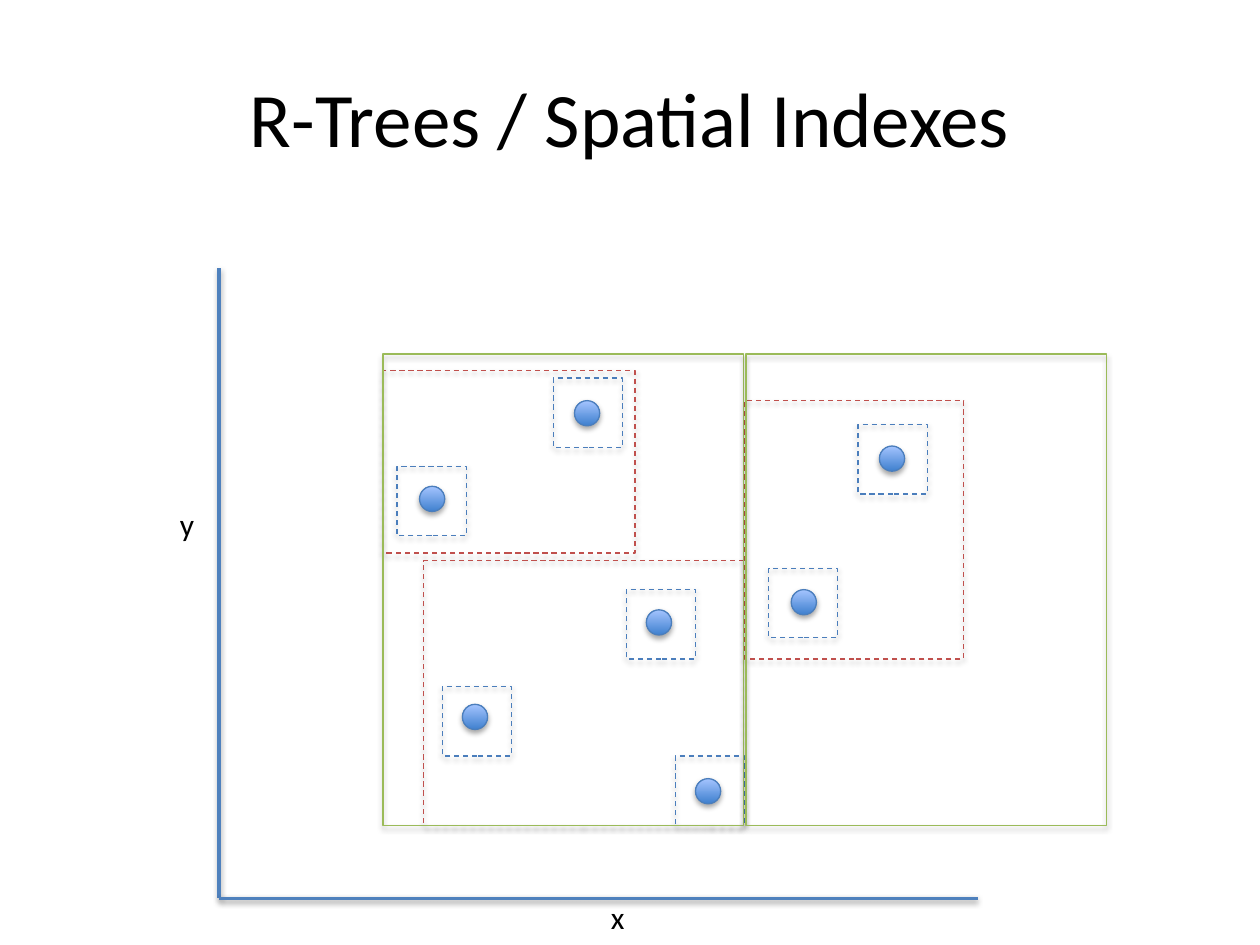
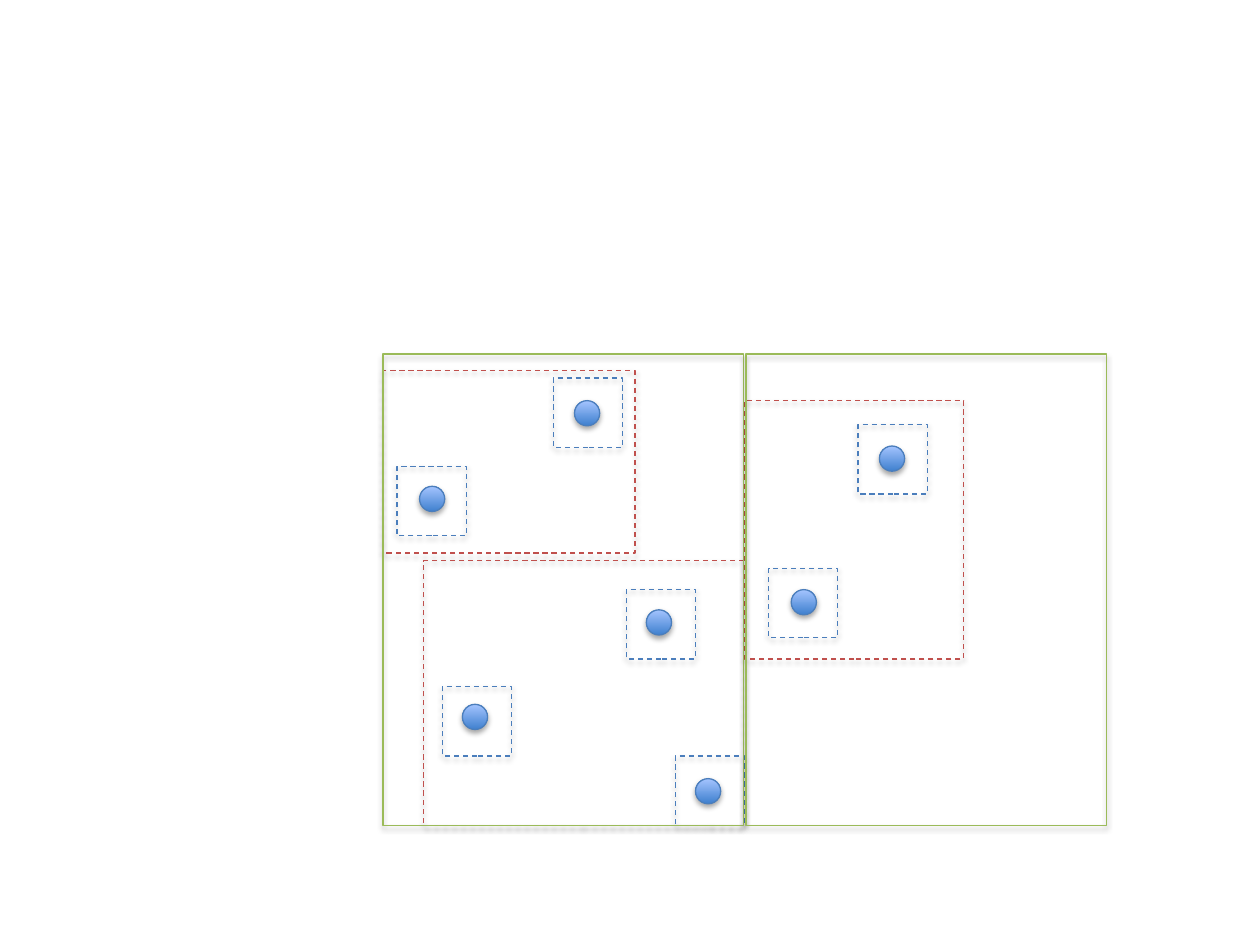
import pptx
import pptx.dml.color
import pptx.enum.dml
import pptx.enum.shapes
import pptx.enum.text
import pptx.oxml.ns
import pptx.util
from lxml import etree
from pptx.util import Inches

COLORS = {
    "text": "000000",
    "shadow": "000000",
    "axis": "4F81BD",
    "entry": "4B7EBC",
    "leaf": "C0504D",
    "node": "9BBB59",
    "point_dark": "3F80CE",
    "point_light": "A4C4FF",
}
FONT = "Calibri"
POINT_SIZE = 0.2
ENTRY_SIZE = 0.55

# Each entry: left and top of the point, left and top of its bounding box
ENTRIES = [
    (3.33, 3.86, 3.15, 3.7),
    (4.56, 3.18, 4.39, 3),
    (3.67, 5.59, 3.51, 5.45),
    (5.13, 4.84, 4.97, 4.68),
    (6.98, 3.54, 6.81, 3.37),
    (6.28, 4.68, 6.1, 4.51),
    (5.52, 6.18, 5.36, 6),
]
# Left, top, width, height
LEAVES = [(3.04, 2.94, 2, 1.45), (3.36, 4.45, 2.54, 2.1), (5.91, 3.18, 1.74, 2.05)]
NODES = [(left, 2.81, 2.86, 3.74) for left in (3.04, 5.92)]


def rgb(name):
    return pptx.dml.color.RGBColor.from_string(COLORS[name])


class Deck:
    """Holds the shared style and the current slide."""

    def __init__(self):
        self.presentation = pptx.Presentation()
        self.presentation.slide_width = Inches(10)
        self.presentation.slide_height = Inches(7.5)
        self.slide = None

    def new_slide(self):
        self.slide = self.presentation.slides.add_slide(self.presentation.slide_layouts[6])

    def text(self, words, left, top, width, height, size, centered=False):
        shape = self.slide.shapes.add_textbox(
            Inches(left), Inches(top), Inches(width), Inches(height))
        frame = shape.text_frame
        frame.word_wrap = True
        frame.text = words
        paragraph = frame.paragraphs[0]
        paragraph.font.name = FONT
        paragraph.font.size = pptx.util.Pt(size)
        paragraph.font.color.rgb = rgb("text")
        if centered:
            paragraph.alignment = pptx.enum.text.PP_ALIGN.CENTER
            frame.vertical_anchor = pptx.enum.text.MSO_ANCHOR.MIDDLE

    def outline(self, shape, color, width):
        shape.line.color.rgb = rgb(color)
        shape.line.width = pptx.util.Pt(width)

    def drop_shadow(self, shape, opacity, distance):
        """Add a soft shadow below; call after fill and line are set."""
        qn = pptx.oxml.ns.qn
        effects = etree.SubElement(shape.element.spPr, qn("a:effectLst"))
        shadow = etree.SubElement(
            effects, qn("a:outerShdw"), blurRad=str(pptx.util.Pt(3.1)),
            dist=str(pptx.util.Pt(distance)), dir="5400000", rotWithShape="0")
        color = etree.SubElement(shadow, qn("a:srgbClr"), val=COLORS["shadow"])
        etree.SubElement(color, qn("a:alpha"), val=str(opacity * 1000))

    def axis(self, x1, y1, x2, y2):
        connector = self.slide.shapes.add_connector(
            pptx.enum.shapes.MSO_CONNECTOR.STRAIGHT,
            Inches(x1), Inches(y1), Inches(x2), Inches(y2))
        self.outline(connector, "axis", 2)
        self.drop_shadow(connector, 38, 1.6)

    def point(self, left, top, shapes=None):
        shape = (shapes or self.slide.shapes).add_shape(
            pptx.enum.shapes.MSO_SHAPE.OVAL,
            Inches(left), Inches(top), Inches(POINT_SIZE), Inches(POINT_SIZE))
        shape.fill.gradient()
        shape.fill.gradient_angle = 90
        for stop, color in zip(shape.fill.gradient_stops, ("point_dark", "point_light")):
            stop.color.rgb = rgb(color)
        self.outline(shape, "entry", 0.75)
        self.drop_shadow(shape, 35, 1.8)

    def box(self, left, top, width, height, color, dashed=True, shapes=None):
        shape = (shapes or self.slide.shapes).add_shape(
            pptx.enum.shapes.MSO_SHAPE.RECTANGLE,
            Inches(left), Inches(top), Inches(width), Inches(height))
        shape.fill.background()
        self.outline(shape, color, 0.75)
        if dashed:
            shape.line.dash_style = pptx.enum.dml.MSO_LINE.DASH
        self.drop_shadow(shape, 35, 1.8)

    def entry_box(self, left, top, shapes=None):
        self.box(left, top, ENTRY_SIZE, ENTRY_SIZE, "entry", shapes=shapes)

    def tree_boxes(self):
        for leaf in LEAVES:
            self.box(*leaf, "leaf")
        for node in NODES:
            self.box(*node, "node", dashed=False)


def main():
    deck = Deck()

    # Slide 1: points and bounding boxes on axes
    deck.new_slide()
    deck.text("R-Trees / Spatial Indexes", 0.5, 0.3, 9, 1.25, 44, centered=True)
    for point_left, point_top, _, _ in ENTRIES:
        deck.point(point_left, point_top)
    deck.axis(1.74, 2.13, 1.74, 7.13)
    deck.axis(7.76, 7.13, 1.74, 7.13)
    deck.text("x", 4.75, 7.08, 0.41, 0.4, 18)
    deck.text("y", 1.33, 3.96, 0.41, 0.4, 18)
    for _, _, box_left, box_top in ENTRIES:
        deck.entry_box(box_left, box_top)
    deck.tree_boxes()

    # Slide 2: the tree alone, each point grouped with its box
    deck.new_slide()
    for point_left, point_top, box_left, box_top in ENTRIES:
        group = deck.slide.shapes.add_group_shape()
        deck.point(point_left, point_top, group.shapes)
        deck.entry_box(box_left, box_top, group.shapes)
    deck.tree_boxes()

    deck.presentation.save("out.pptx")


if __name__ == "__main__":
    main()
